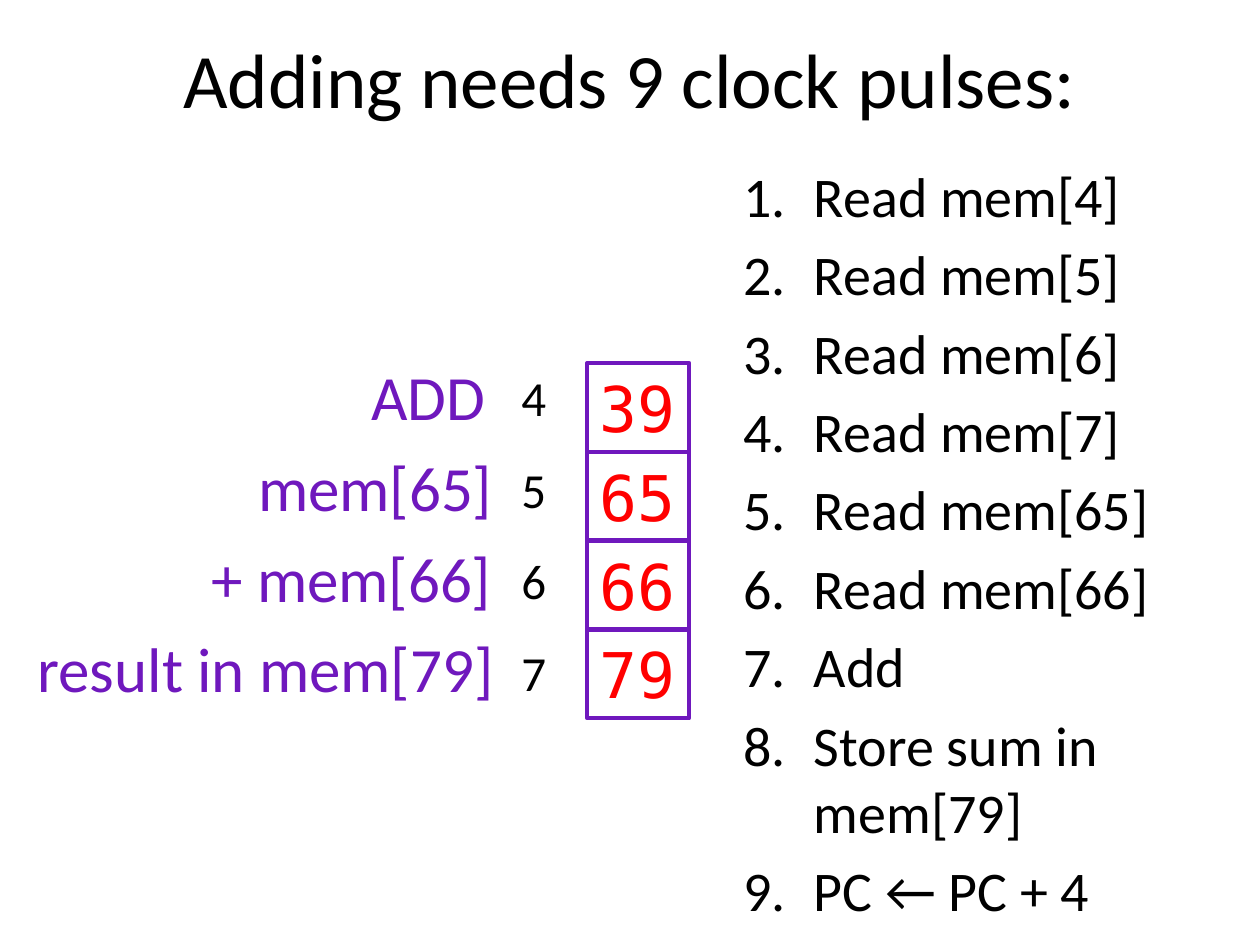
from dataclasses import dataclass

from lxml import etree
from pptx import Presentation
from pptx.dml.color import RGBColor
from pptx.enum.shapes import MSO_SHAPE
from pptx.enum.text import MSO_ANCHOR, MSO_AUTO_SIZE, PP_ALIGN
from pptx.oxml.ns import qn
from pptx.util import Inches, Pt

RECT = MSO_SHAPE.RECTANGLE
MIDDLE = MSO_ANCHOR.MIDDLE
FIT, FIXED = MSO_AUTO_SIZE.SHAPE_TO_FIT_TEXT, MSO_AUTO_SIZE.NONE
LEFT, CENTER = PP_ALIGN.LEFT, PP_ALIGN.CENTER

COLS, ROWS = 100, 75
UNIT = Inches(0.1)  # side of one grid square


@dataclass(frozen=True)
class Theme:
    sans: str = "Calibri"
    mono: str = "DejaVu Sans Mono"
    ink: str = "000000"
    note: str = "6F18BD"
    code: str = "FF0000"
    title: int = 44
    big: int = 36
    body: int = 32
    small: int = 28
    line: float = 2.25


THEME = Theme()

TITLE = "Adding needs 9 clock pulses:"
STEPS = [
    "Read mem[4]",
    "Read mem[5]",
    "Read mem[6]",
    "Read mem[7]",
    "Read mem[65]",
    "Read mem[66]",
    "Add",
    "Store sum in mem[79]",
    "PC ← PC + 4",
]
# meaning, its left column and width, address, stored value
MEMORY = [
    ("ADD", 28.5, 11.2, "4", "39"),
    ("mem[65]", 19.5, 20.8, "5", "65"),
    ("+ mem[66]", 15.8, 24.5, "6", "66"),
    ("result in mem[79]", 2, 38.7, "7", "79"),
]


def grid(*cells):
    return [round(cell * UNIT) for cell in cells]


def move(shape, *cells):
    shape.left, shape.top, shape.width, shape.height = grid(*cells)


def write(par, text, size, color=THEME.ink, face=THEME.sans):
    run = par.add_run()
    run.text = text
    font = run.font
    font.name, font.size = face, Pt(size)
    font.color.rgb = RGBColor.from_string(color)


def fill_title(shape):
    move(shape, 5, -0.1, 90, 12.5)
    frame = shape.text_frame
    frame.vertical_anchor = MIDDLE
    frame.auto_size = FIXED
    par = frame.paragraphs[0]
    par.alignment = CENTER
    write(par, TITLE, THEME.title)


def number(par):
    """Number a paragraph with a hanging indent."""
    props = par._p.get_or_add_pPr()
    hang = grid(5.6)[0]
    props.set("marL", str(hang))
    props.set("indent", str(-hang))
    etree.SubElement(props, qn("a:buFont"), typeface="+mj-lt")
    etree.SubElement(props, qn("a:buAutoNum"), type="arabicPeriod")


def fill_steps(shape):
    move(shape, 58, 12.3, 42.2, 59.6)
    frame = shape.text_frame
    frame.auto_size = FIXED
    for index, step in enumerate(STEPS):
        par = frame.add_paragraph() if index else frame.paragraphs[0]
        number(par)
        write(par, step, THEME.body)


def fit(shape, text, *style):
    frame = shape.text_frame
    frame.word_wrap = False
    frame.auto_size = FIT
    par = frame.paragraphs[0]
    par.alignment = LEFT
    write(par, text, *style)


def add_label(slide, cells, text, *style):
    fit(slide.shapes.add_textbox(*grid(*cells)), text, *style)


def add_cell(slide, cells, text):
    shape = slide.shapes.add_shape(RECT, *grid(*cells))
    shape.shadow.inherit = False
    shape.fill.background()
    shape.line.color.rgb = RGBColor.from_string(THEME.note)
    shape.line.width = Pt(THEME.line)
    fit(shape, text, THEME.big, THEME.code, THEME.mono)


def add_memory(slide):
    for row, (note, left, width, place, value) in enumerate(MEMORY):
        add_label(slide, (40.4, 28.7 + 7.27 * row, 4, 5.7), place, THEME.small)
        add_cell(slide, (46.6, 28.8 + 7.04 * row, 8.1, 7.1), value)
        add_label(slide, (left, 27.9 + 7.2 * row, width, 7.1),
                  note, THEME.big, THEME.note)


def main():
    deck = Presentation()
    deck.slide_width, deck.slide_height = grid(COLS, ROWS)
    slide = deck.slides.add_slide(deck.slide_layouts[1])
    fill_title(slide.shapes.title)
    fill_steps(slide.placeholders[1])
    add_memory(slide)
    deck.save("out.pptx")


if __name__ == "__main__":
    main()
